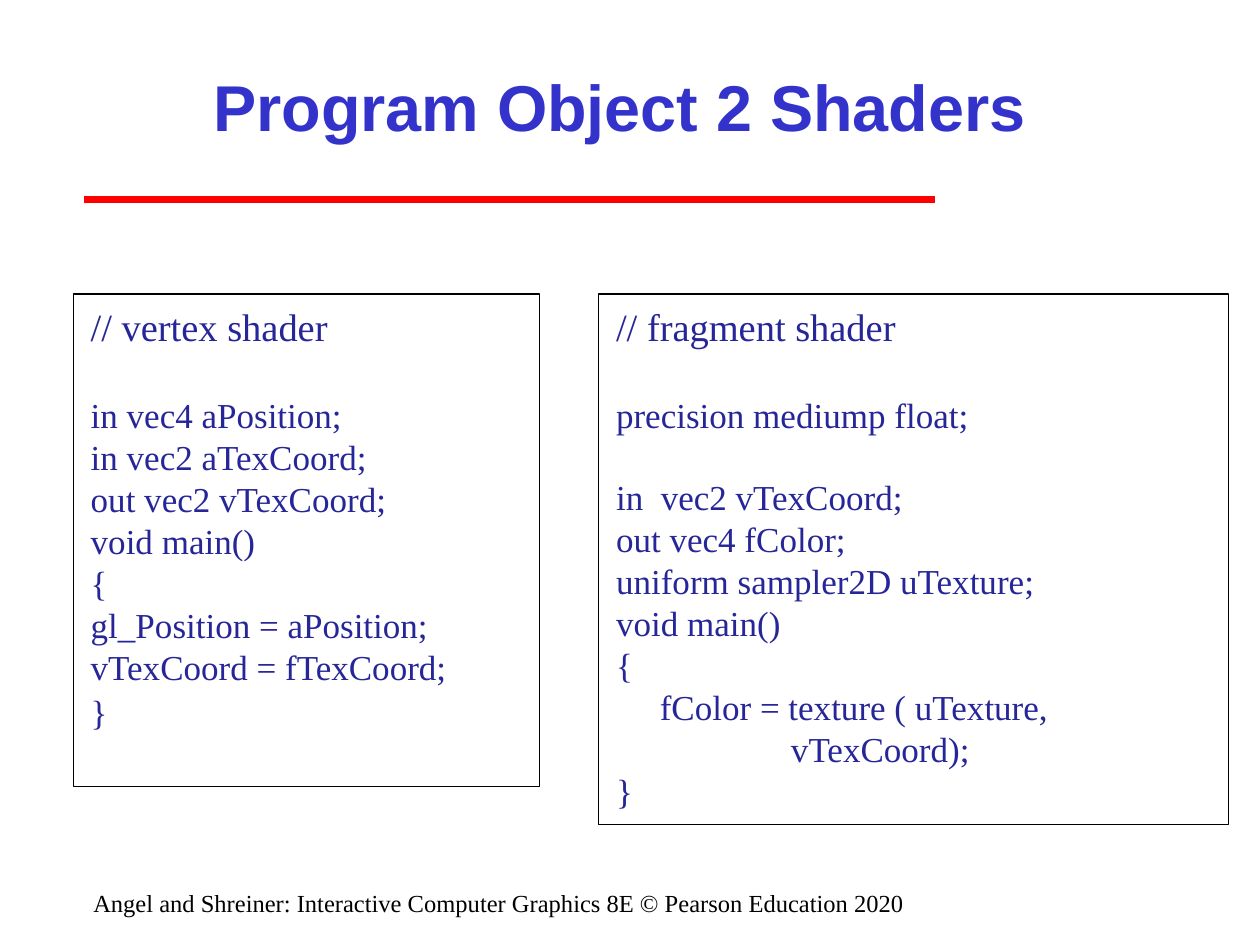
import pptx
import pptx.util
import pptx.dml.color
import pptx.enum.shapes
import pptx.enum.text
import pptx.oxml.ns
import lxml.etree

Cm = pptx.util.Cm
Pt = pptx.util.Pt
RGBColor = pptx.dml.color.RGBColor
Align = pptx.enum.text.PP_ALIGN
Anchor = pptx.enum.text.MSO_ANCHOR

RED = RGBColor(0xFF, 0x00, 0x00)
BLUE = RGBColor(0x33, 0x33, 0xCC)
NAVY = RGBColor(0x26, 0x26, 0x99)
BLACK = RGBColor(0x00, 0x00, 0x00)
SERIF = "Times New Roman"


def add_run(para, text, size, color, face=SERIF, bold=False):
    run = para.add_run()
    run.text = text
    run.font.size = Pt(size)
    run.font.name = face
    run.font.bold = bold
    run.font.color.rgb = color


def set_frame(frame, anchor, side, edge):
    frame.word_wrap = True
    frame.auto_size = pptx.enum.text.MSO_AUTO_SIZE.NONE
    frame.vertical_anchor = anchor
    frame.margin_left = frame.margin_right = Cm(side)
    frame.margin_top = frame.margin_bottom = Cm(edge)


deck = pptx.Presentation()
deck.slide_width, deck.slide_height = Cm(25.4), Cm(19.05)
slide = deck.slides.add_slide(deck.slide_layouts[5])

# Red rule under the title
rule = slide.shapes.add_connector(
    pptx.enum.shapes.MSO_CONNECTOR.STRAIGHT, Cm(1.7), Cm(4.02), Cm(18.84), Cm(4.02))
rule.line.color.rgb = RED
rule.line.width = Pt(4)
lxml.etree.SubElement(rule._element.spPr, pptx.oxml.ns.qn("a:effectLst"))

# Title
title = slide.shapes.title
title.left, title.top, title.width, title.height = Cm(3.81), Cm(0.64), Cm(17.36), Cm(2.96)
set_frame(title.text_frame, Anchor.MIDDLE, 0.25, 0.13)
para = title.text_frame.paragraphs[0]
para.alignment = Align.CENTER
add_run(para, "Program Object 2 Shaders", 37, BLUE, "Arial", True)

# Shader listings: left, width, height, then lines of (text, size, space before)
vertex = [
    ("// vertex shader", 22, 0),
    ("in vec4 aPosition;", 20, 25),
    ("in vec2 aTexCoord;", 20, 0),
    ("out vec2 vTexCoord;", 20, 0),
    ("void main()", 20, 0),
    ("{", 20, 0),
    ("gl_Position = aPosition;", 20, 0),
    ("vTexCoord = fTexCoord;", 20, 0),
    ("}", 20, 2),
]
fragment = [
    ("// fragment shader", 22, 0),
    ("precision mediump float;", 20, 25),
    ("in  vec2 vTexCoord;", 20, 23),
    ("out vec4 fColor;", 20, 0),
    ("uniform sampler2D uTexture;", 20, 0),
    ("void main()", 20, 0),
    ("{", 20, 0),
    ("     fColor = texture ( uTexture,", 20, 0),
    ("                    vTexCoord);", 20, 0),
    ("}", 20, 0),
]
for left, width, height, code in ((1.48, 9.4, 9.93, vertex), (12.07, 12.7, 10.69, fragment)):
    box = slide.shapes.add_shape(
        pptx.enum.shapes.MSO_SHAPE.RECTANGLE, Cm(left), Cm(5.93), Cm(width), Cm(height))
    box.shadow.inherit = False
    box.fill.background()
    box.line.color.rgb = BLACK
    box.line.width = Pt(0.75)
    frame = box.text_frame
    set_frame(frame, Anchor.TOP, 0.35, 0.18)
    for i, (text, size, gap) in enumerate(code):
        para = frame.add_paragraph() if i else frame.paragraphs[0]
        para.alignment = Align.LEFT
        para.space_before = Pt(gap)
        add_run(para, text, size, NAVY)

# Footer
foot = slide.shapes.add_textbox(Cm(1.27), Cm(17.78), Cm(17.58), Cm(0.64))
set_frame(foot.text_frame, Anchor.TOP, 0.25, 0.13)
para = foot.text_frame.paragraphs[0]
para.alignment = Align.CENTER
add_run(para, "Angel and Shreiner: Interactive Computer Graphics 8E © Pearson Education 2020",
        14, BLACK)

deck.save("out.pptx")
